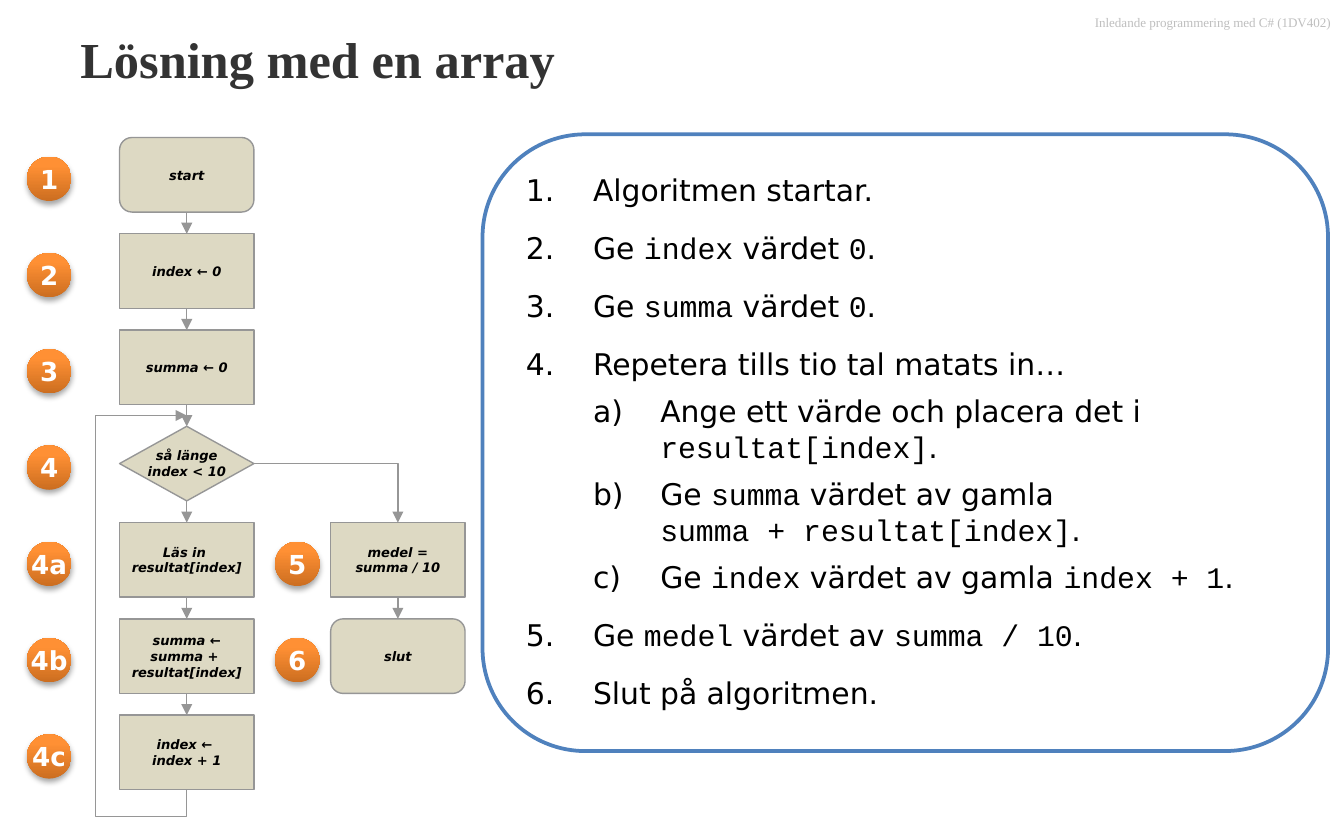
from dataclasses import dataclass

from lxml.etree import SubElement
from pptx import Presentation
from pptx.dml.color import RGBColor
from pptx.enum.shapes import MSO_CONNECTOR, MSO_SHAPE
from pptx.enum.text import MSO_ANCHOR, PP_ALIGN
from pptx.oxml.ns import qn
from pptx.util import Cm, Pt

PROCESS = MSO_SHAPE.FLOWCHART_PROCESS
TERMINAL = MSO_SHAPE.FLOWCHART_ALTERNATE_PROCESS
DECISION = MSO_SHAPE.FLOWCHART_DECISION
ROUNDED = MSO_SHAPE.ROUNDED_RECTANGLE
OVAL = MSO_SHAPE.OVAL
STRAIGHT = MSO_CONNECTOR.STRAIGHT
ELBOW = MSO_CONNECTOR.ELBOW
TOP, MIDDLE = MSO_ANCHOR.TOP, MSO_ANCHOR.MIDDLE
LEFT, CENTER, RIGHT = PP_ALIGN.LEFT, PP_ALIGN.CENTER, PP_ALIGN.RIGHT
SITE_TOP, SITE_BOTTOM, SITE_RIGHT = 0, 2, 3


@dataclass(frozen=True)
class Theme:
    serif: str = "Times New Roman"
    sans: str = "DejaVu Sans"
    mono: str = "Courier New"
    header: str = "BFBFBF"
    title: str = "333333"
    ink: str = "000000"
    paper: str = "FFFFFF"
    panel_line: str = "4F81BD"
    node: str = "DDD9C3"
    flow: str = "969696"
    badge: tuple = ((0, "CC6E20"), (80, "FF9034"), (100, "FF9136"))
    header_size: float = 7
    title_size: float = 27
    body_size: float = 16
    node_size: float = 7
    badge_size: float = 14


THEME = Theme()

COLUMNS = (2.26, 6.25)
BADGE_COLUMNS = (0.51, 5.2)
FIRST_ROW, ROW_STEP = 2.6, 1.82
NODE_WIDTH, NODE_HEIGHT = 2.54, 1.41
BADGE_SIZE, BADGE_DROP = 0.84, 0.36

NODES = [
    ("1", TERMINAL, "start", 0, 0),
    ("2", PROCESS, "index ← 0", 0, 1),
    ("3", PROCESS, "summa ← 0", 0, 2),
    ("4", DECISION, "så länge\nindex < 10", 0, 3),
    ("4a", PROCESS, "Läs in \nresultat[index]", 0, 4),
    ("4b", PROCESS, "summa ←\nsumma + \nresultat[index]", 0, 5),
    ("4c", PROCESS, "index ← \nindex + 1", 0, 6),
    ("5", PROCESS, "medel =\nsumma / 10", 1, 4),
    ("6", TERMINAL, "slut", 1, 5),
]

STEPS = [
    (0, 12, "Algoritmen startar."),
    (0, 12, "Ge `index` värdet `0`."),
    (0, 12, "Ge `summa` värdet `0`."),
    (0, 6, "Repetera tills tio tal matats in…"),
    (1, 6, "Ange ett värde och placera det i `resultat[index]`."),
    (1, 6, "Ge `summa` värdet av gamla \n`summa + resultat[index]`."),
    (1, 12, "Ge `index` värdet av gamla `index + 1`."),
    (0, 12, "Ge `medel` värdet av `summa / 10`."),
    (0, 12, "Slut på algoritmen."),
]
NUMBERING = ("arabicPeriod", "alphaLcParenR")


def rgb(value):
    return RGBColor.from_string(value)


def apply(target, values):
    for name, value in values.items():
        setattr(target, name, value)


def write(para, text, color, **style):
    for index, line in enumerate(text.split("\n")):
        if index:
            para.add_line_break()
        for position, piece in enumerate(line.split("`")):
            if piece:
                span = para.add_run()
                span.text = piece
                apply(span.font, style)
                span.font.color.rgb = rgb(color)
                if position % 2:
                    span.font.name = THEME.mono
    for line_break in para._p.findall(qn("a:br")):
        SubElement(line_break, qn("a:rPr"), sz=str(int(style["size"].pt * 100)))


def set_frame(box, anchor, wrap=True, inset=(0.25, 0.13)):
    side, edge = map(Cm, inset)
    apply(box.text_frame, dict(
        word_wrap=wrap, vertical_anchor=anchor, margin_left=side,
        margin_right=side, margin_top=edge, margin_bottom=edge))
    return box.text_frame.paragraphs[0]


def set_line(item, color, width):
    item.line.color.rgb = rgb(color)
    item.line.width = Pt(width)


def set_arrow(item):
    set_line(item, THEME.flow, 0.75)
    SubElement(item.line._get_or_add_ln(), qn("a:tailEnd"), type="triangle")


def add_label(page, place, text, align, color, **style):
    box = page.shapes.add_textbox(*map(Cm, place))
    para = set_frame(box, MIDDLE)
    para.alignment = align
    write(para, text, color, name=THEME.serif, **style)


def add_shape(page, kind, place):
    shape = page.shapes.add_shape(kind, *map(Cm, place))
    shape.shadow.inherit = False
    return shape


def add_panel(page):
    panel = add_shape(page, ROUNDED, (9.12, 2.54, 15.98, 11.66))
    panel.fill.solid()
    panel.fill.fore_color.rgb = rgb(THEME.paper)
    set_line(panel, THEME.panel_line, 2)
    para = set_frame(panel, TOP)
    for index, (level, gap, text) in enumerate(STEPS):
        if index:
            para = panel.text_frame.add_paragraph()
        apply(para, dict(level=level, alignment=LEFT, space_after=Pt(gap)))
        layout = para._p.get_or_add_pPr()
        layout.set("marL", str(Cm(1.27 * (level + 1))))
        layout.set("indent", str(Cm(-1.27)))
        SubElement(layout, qn("a:buAutoNum"), type=NUMBERING[level])
        write(para, text, THEME.ink, name=THEME.sans, size=Pt(THEME.body_size))


def add_node(page, kind, text, left, top):
    node = add_shape(page, kind, (left, top, NODE_WIDTH, NODE_HEIGHT))
    node.fill.solid()
    node.fill.fore_color.rgb = rgb(THEME.node)
    set_line(node, THEME.flow, 0.75)
    para = set_frame(node, MIDDLE, wrap=False)
    apply(para, dict(alignment=CENTER, space_before=Pt(1.4)))
    write(para, text, THEME.ink, name=THEME.sans, size=Pt(THEME.node_size),
          bold=True, italic=True)
    return node


def add_badge(page, text, left, top):
    badge = add_shape(page, OVAL, (left, top, BADGE_SIZE, BADGE_SIZE))
    badge.line.fill.background()
    badge.fill.gradient()
    badge.fill.gradient_angle = 90
    properties = badge._element.spPr
    stops = properties.find(".//" + qn("a:gsLst"))
    stops.clear()
    for position, color in THEME.badge:
        stop = SubElement(stops, qn("a:gs"), pos=str(position * 1000))
        SubElement(stop, qn("a:srgbClr"), val=color)
    shadow = SubElement(properties.find(qn("a:effectLst")), qn("a:outerShdw"),
                        blurRad=str(Pt(3.1)), dist=str(Pt(1.8)),
                        dir="5400000", rotWithShape="0")
    shade = SubElement(shadow, qn("a:srgbClr"), val=THEME.ink)
    SubElement(shade, qn("a:alpha"), val="35000")
    para = set_frame(badge, MIDDLE, wrap=False, inset=(0, 0))
    apply(para, dict(alignment=CENTER, space_before=Pt(2.8)))
    write(para, text, THEME.paper, name=THEME.sans, size=Pt(THEME.badge_size),
          bold=True)


def add_arrow(page, source, target, kind=STRAIGHT, site=SITE_BOTTOM):
    arrow = page.shapes.add_connector(kind, 0, 0, 0, 0)
    arrow.begin_connect(source, site)
    arrow.end_connect(target, SITE_TOP)
    set_arrow(arrow)
    properties = arrow._element.spPr
    SubElement(properties, qn("a:effectLst"))
    if kind == ELBOW:
        properties.find(qn("a:prstGeom")).set("prst", "bentConnector2")


def add_loop(page, last, decision):
    center = last.left + last.width // 2
    bottom = last.top + last.height
    side, low = Cm(1.81), Cm(15.44)
    entry = decision.top - Cm((ROW_STEP - NODE_HEIGHT) / 2)
    builder = page.shapes.build_freeform(center, bottom)
    builder.add_line_segments(
        [(center, low), (side, low), (side, entry), (center, entry)], close=False)
    loop = builder.convert_to_shape()
    loop.shadow.inherit = False
    loop.fill.background()
    set_arrow(loop)


def main():
    deck = Presentation()
    deck.slide_width, deck.slide_height = Cm(25.4), Cm(15.88)
    page = deck.slides.add_slide(deck.slide_layouts[6])
    add_label(page, (13.77, 0, 11.63, 0.86), "Inledande programmering med C# (1DV402)",
              RIGHT, THEME.header, size=Pt(THEME.header_size))
    add_label(page, (1.27, 0.28, 22.86, 1.65), "Lösning med en array",
              LEFT, THEME.title, size=Pt(THEME.title_size), bold=True)
    add_panel(page)
    nodes = {}
    for number, kind, text, column, row in NODES:
        top = FIRST_ROW + row * ROW_STEP
        nodes[number] = add_node(page, kind, text, COLUMNS[column], top)
        add_badge(page, number, BADGE_COLUMNS[column], top + BADGE_DROP)
    for chain in (("1", "2", "3", "4", "4a", "4b", "4c"), ("5", "6")):
        for source, target in zip(chain, chain[1:]):
            add_arrow(page, nodes[source], nodes[target])
    add_arrow(page, nodes["4"], nodes["5"], ELBOW, SITE_RIGHT)
    add_loop(page, nodes["4c"], nodes["4"])
    deck.save("out.pptx")


if __name__ == "__main__":
    main()
